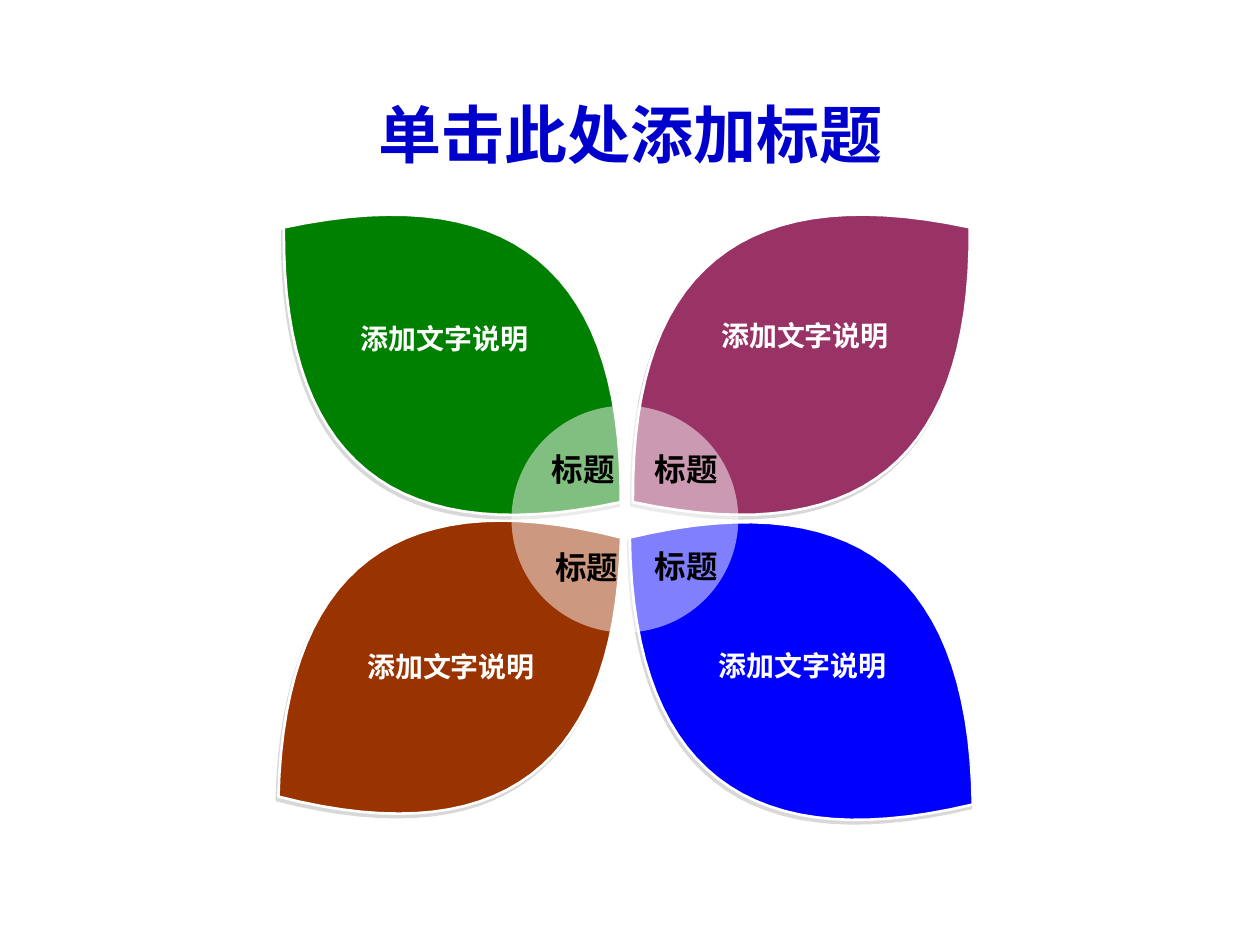
from pptx import Presentation
from pptx.dml.color import RGBColor as RGB
from pptx.enum.shapes import MSO_SHAPE as SHAPE
from pptx.enum.text import MSO_ANCHOR as ANCHOR, MSO_AUTO_SIZE as FIT, PP_ALIGN as ALIGN
from pptx.oxml import parse_xml
from pptx.oxml.ns import nsdecls
from pptx.util import Inches, Pt
from lxml.etree import SubElement as sub

THEME = {
    "font": "Arial", "title": "0000CC", "white": "FFFFFF", "black": "000000",
    "shade": "B2B2B2", "plum": "993366", "rust": "993300", "blue": "0000FF",
    "green": "008000", "head": 36, "label": 18, "note": 16, "edge": 1.5,
}


def write(frame, text, size, color, align):
    para = frame.paragraphs[0]
    para.text = text
    para.alignment = align
    look = {"name": THEME["font"], "size": Pt(THEME[size]), "bold": True}
    for key, value in look.items():
        setattr(para.runs[0].font, key, value)
    para.runs[0].font.color.rgb = RGB.from_string(THEME[color])


def add_text(box, text, size, color, align, wrap):
    frame = slide.shapes.add_textbox(*map(Inches, box)).text_frame
    frame.word_wrap = wrap
    frame.auto_size = FIT.SHAPE_TO_FIT_TEXT
    write(frame, text, size, color, align)


deck = Presentation()
deck.slide_width, deck.slide_height = Inches(10), Inches(7.5)
slide = deck.slides.add_slide(deck.slide_layouts[5])

# Title
title = slide.shapes.title
place = {"left": 1.25, "top": 0.69, "width": 7.5, "height": 0.73}
for key, value in place.items():
    setattr(title, key, Inches(value))
title.text_frame.vertical_anchor = ANCHOR.MIDDLE
title.text_frame.auto_size = FIT.NONE
write(title.text_frame, "单击此处添加标题", "head", "title", ALIGN.CENTER)

# Petals: two parabolic arcs that meet in a tip, then turned
petals = [
    (5.28, 1.17, 2.16, 3.45, 50.8, "plum"),
    (2.5, 3.59, 2.14, 3.41, 52.9, "rust"),
    (5.28, 3.6, 2.16, 3.45, 307.9, "blue"),
    (2.51, 1.17, 2.16, 3.45, 309.2, "green"),
]
STEPS = 30
for left, top, wide, high, turn, color in petals:
    arc = [(step / STEPS, 1 - (2 * step / STEPS - 1) ** 2) for step in range(STEPS + 1)]
    right = [(wide / 2 * (1 + bow), high * part) for part, bow in arc]
    back = [(wide - x, y) for x, y in right[-2:0:-1]]
    points = [(Inches(left + x), Inches(top + y)) for x, y in right + back]
    pen = slide.shapes.build_freeform(*points[0])
    pen.add_line_segments(points[1:], close=True)
    petal = pen.convert_to_shape()
    petal.rotation = turn
    petal.fill.solid()
    petal.fill.fore_color.rgb = RGB.from_string(THEME[color])
    petal.line.color.rgb = RGB.from_string(THEME["white"])
    petal.line.width = Pt(THEME["edge"])
    petal._element.spPr.append(parse_xml(
        f'<a:effectLst {nsdecls("a")}><a:outerShdw dist="{Pt(2.2)}" dir="{116 * 60000}"'
        f' algn="ctr" rotWithShape="0"><a:srgbClr val="{THEME["shade"]}">'
        '<a:alpha val="50000"/></a:srgbClr></a:outerShdw></a:effectLst>'))

# Half-clear disc in the middle
disc = slide.shapes.add_shape(SHAPE.OVAL, *map(Inches, (4.06, 3.22, 1.8, 1.8)))
disc.shadow.inherit = False
disc.line.fill.background()
disc.fill.solid()
disc.fill.fore_color.rgb = RGB.from_string(THEME["white"])
tint = disc._element.spPr.find(".//{*}srgbClr")
sub(tint, tint.tag.replace("srgbClr", "alpha"), val="50000")

# Notes on the petals
for left, top in [(5.41, 2.48), (2.6, 5.11), (5.39, 5.1), (2.55, 2.5)]:
    add_text((left, top, 1.96, 0.37), "添加文字说明", "note", "white", ALIGN.CENTER, True)

# Labels on the disc
for left, top in [(4.28, 3.52), (5.1, 3.52), (4.31, 4.3), (5.1, 4.29)]:
    add_text((left, top, 0.7, 0.4), "标题", "label", "black", ALIGN.LEFT, False)

deck.save("out.pptx")
